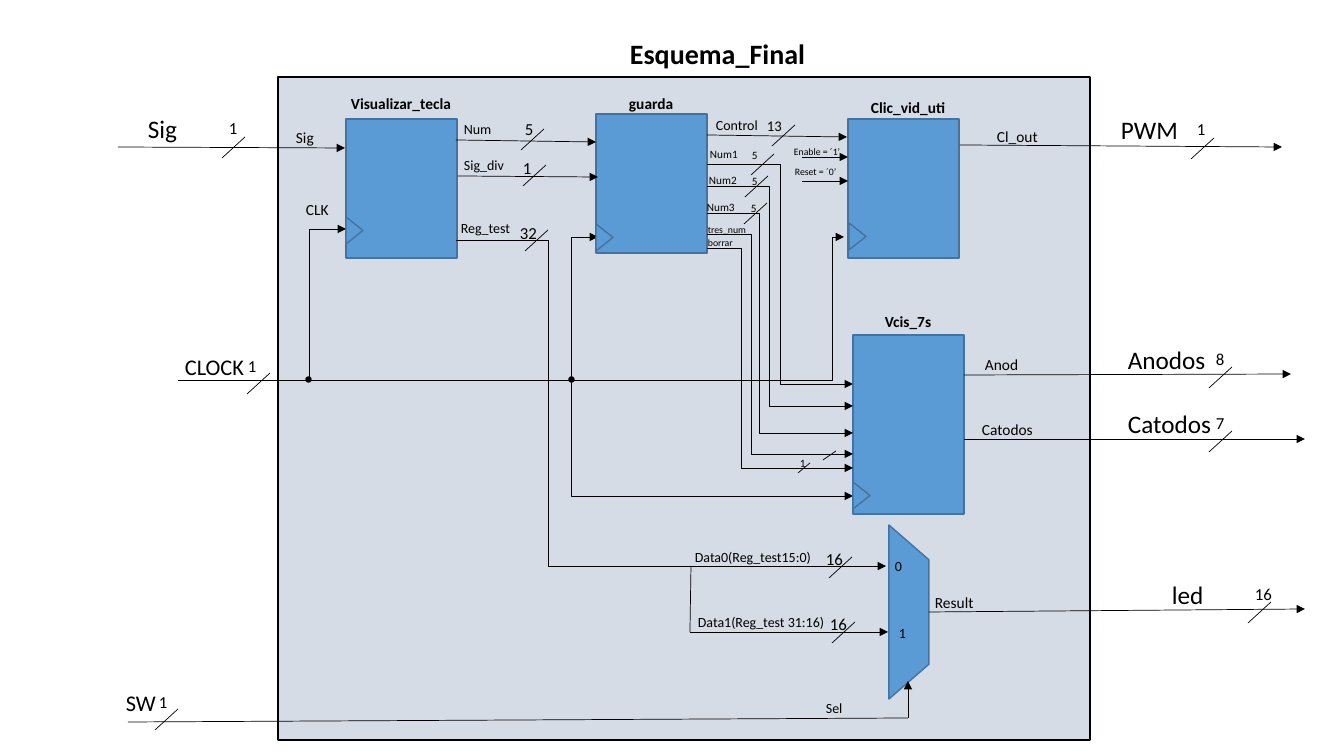
"""Build the Esquema_Final block diagram slide."""
from pptx import Presentation
from pptx.dml.color import RGBColor
from pptx.enum.shapes import MSO_CONNECTOR, MSO_SHAPE
from pptx.oxml.ns import qn
from pptx.util import Emu, Pt
from lxml.etree import SubElement

SCALE = 914400 / 100.8
BLUE, BLUE_EDGE, PANEL, BLACK = "5B9BD5", "43739E", "D6DCE5", "000000"

presentation = Presentation()
presentation.slide_width, presentation.slide_height = Emu(12192000), Emu(6858000)
slide = presentation.slides.add_slide(presentation.slide_layouts[6])


def add_block(kind, box, fill=BLUE, edge=BLUE_EDGE, rotation=0):
    shape = slide.shapes.add_shape(kind, *[Emu(round(value * SCALE)) for value in box])
    shape.shadow.inherit = False
    shape.fill.solid()
    shape.fill.fore_color.rgb = RGBColor.from_string(fill)
    shape.line.color.rgb = RGBColor.from_string(edge)
    shape.line.width = Pt(1)
    shape.rotation = rotation


def add_wire(start_x, start_y, end_x, end_y, arrow=True, bend_x=None):
    kind = MSO_CONNECTOR.STRAIGHT if bend_x is None else MSO_CONNECTOR.ELBOW
    ends = [Emu(round(value * SCALE)) for value in (start_x, start_y, end_x, end_y)]
    connector = slide.shapes.add_connector(kind, *ends)
    connector.line.color.rgb = RGBColor.from_string(BLACK)
    connector.line.width = Pt(0.5)
    properties = connector._element.spPr
    if bend_x is not None:
        share = round(100000 * (bend_x - start_x) / (end_x - start_x))
        adjustments = properties.find(qn("a:prstGeom")).get_or_add_avLst()
        SubElement(adjustments, qn("a:gd"), name="adj1", fmla=f"val {share}")
    if arrow:
        SubElement(properties.find(qn("a:ln")), qn("a:tailEnd"), type="triangle")
    SubElement(properties, qn("a:effectLst"))


add_block(MSO_SHAPE.RECTANGLE, (278, 77, 812, 663), PANEL, BLACK)
for box in [(346, 119, 111, 139), (848, 119, 111, 139),
            (596, 114, 111, 139), (853, 335, 111, 179)]:
    add_block(MSO_SHAPE.RECTANGLE, box)
add_block(MSO_SHAPE.FLOWCHART_MANUAL_OPERATION, (822, 592, 174, 40), rotation=270)

arrows = [
    (118, 147, 345, 148), (964, 375, 1291, 374), (964, 439, 1305, 439),
    (929, 612, 1305, 609), (960, 145, 1282, 147), (456, 140, 596, 142),
    (458, 176, 598, 177), (707, 135, 847, 137), (690, 632, 888, 632),
    (908, 718, 908, 681), (802, 157, 848, 157), (802, 181, 848, 181),
]
for ends in arrows:
    add_wire(*ends)
for ends in [(691, 566, 690, 632), (128, 722, 908, 718),
             (836, 451, 823, 460), (810, 463, 798, 473)]:
    add_wire(*ends, arrow=False)

bus_slashes = [
    (245, 137), (178, 709), (270, 373), (1232, 367), (1232, 431), (1271, 602),
    (1214, 138), (544, 129), (546, 165), (795, 125), (548, 230), (852, 557),
    (855, 622), (774, 154), (768, 176), (767, 203),
]
for right, top in bus_slashes:
    add_wire(right, top, right - 23, top + 21, arrow=False)

add_wire(456, 240, 886, 566, bend_x=549)
for start_y, bend_x in [(164, 780), (186, 769), (213, 759), (234, 751), (248, 741)]:
    add_wire(707, start_y, 853, start_y + 220, bend_x=bend_x)
for start_x, end_x, end_y, bend_x in [(178, 346, 229, 309), (297, 598, 237, 571),
                                      (544, 844, 237, 832), (281, 853, 496, 571)]:
    add_wire(start_x, 380, end_x, end_y, bend_x=bend_x)

for left, top in [(341, 222), (591, 229), (844, 228), (848, 487)]:
    add_block(MSO_SHAPE.ISOSCELES_TRIANGLE, (left, top, 27, 17), rotation=90)
for left in (569, 306):
    add_block(MSO_SHAPE.OVAL, (left, 377, 5, 5), BLACK, BLACK)

labels = {
    (20, True): [("Esquema_Final", 620, 32, 204)],
    (18, False): [("Sig", 138, 108, 49), ("Anodos", 1118, 339, 99),
                  ("Catodos", 1118, 403, 105), ("led", 1162, 574, 52),
                  ("PWM", 1111, 109, 78)],
    (16, False): [("SW", 116, 684, 50), ("CLOCK", 175, 348, 81)],
    (12, False): [("1", 219, 113, 29), ("1", 149, 687, 29), ("1", 238, 351, 29),
                  ("8", 1206, 344, 29), ("7", 1206, 408, 29), ("16", 1245, 579, 37),
                  ("1", 1187, 114, 29), ("5", 515, 114, 29), ("1", 513, 153, 37),
                  ("32", 510, 218, 37), ("16", 816, 544, 37), ("16", 820, 609, 37)],
    (11, True): [("Visualizar_tecla", 341, 89, 122), ("guarda", 619, 89, 66),
                 ("Clic_vid_uti", 861, 93, 96), ("Vcis_7s", 875, 307, 69)],
    (11, False): [("CLK", 296, 195, 43), ("Sig", 286, 123, 38), ("Cl_out", 987, 122, 61),
                  ("Anod", 975, 350, 53), ("Catodos", 972, 415, 72),
                  ("Result", 925, 588, 59)],
    (10.5, False): [("13", 757, 112, 43)],
    (10, False): [("Num", 454, 116, 73), ("Sig_div", 454, 152, 73),
                  ("Control", 706, 112, 73), ("Reg_test", 451, 215, 71),
                  ("Data0(Reg_test15:0)", 685, 544, 139),
                  ("Data1(Reg_test 31:16)", 688, 609, 149),
                  ("0", 885, 553, 27), ("1", 889, 620, 27), ("Sel", 816, 695, 37)],
    (8, False): [("Num1", 700, 142, 73), ("5", 742, 143, 43), ("Num2", 699, 168, 73),
                 ("5", 742, 169, 43), ("Num3", 697, 195, 73), ("5", 741, 196, 43),
                 ("1", 790, 451, 43)],
    (7, False): [("tres_num", 698, 219, 73), ("borrar", 698, 232, 73),
                 ("Enable = ´1’", 784, 141, 73), ("Reset = ´0’", 785, 161, 73)],
}
for (size, bold), entries in labels.items():
    for text, left, top, width in entries:
        box = (left, top, width + 3, round(size * 1.7 + 10))
        label = slide.shapes.add_textbox(*[Emu(round(value * SCALE)) for value in box])
        label.text_frame.word_wrap = True
        label.text_frame.text = text
        font = label.text_frame.paragraphs[0].runs[0].font
        font.name, font.size, font.bold = "Calibri", Pt(size), bold
        font.color.rgb = RGBColor.from_string(BLACK)

presentation.save("out.pptx")
